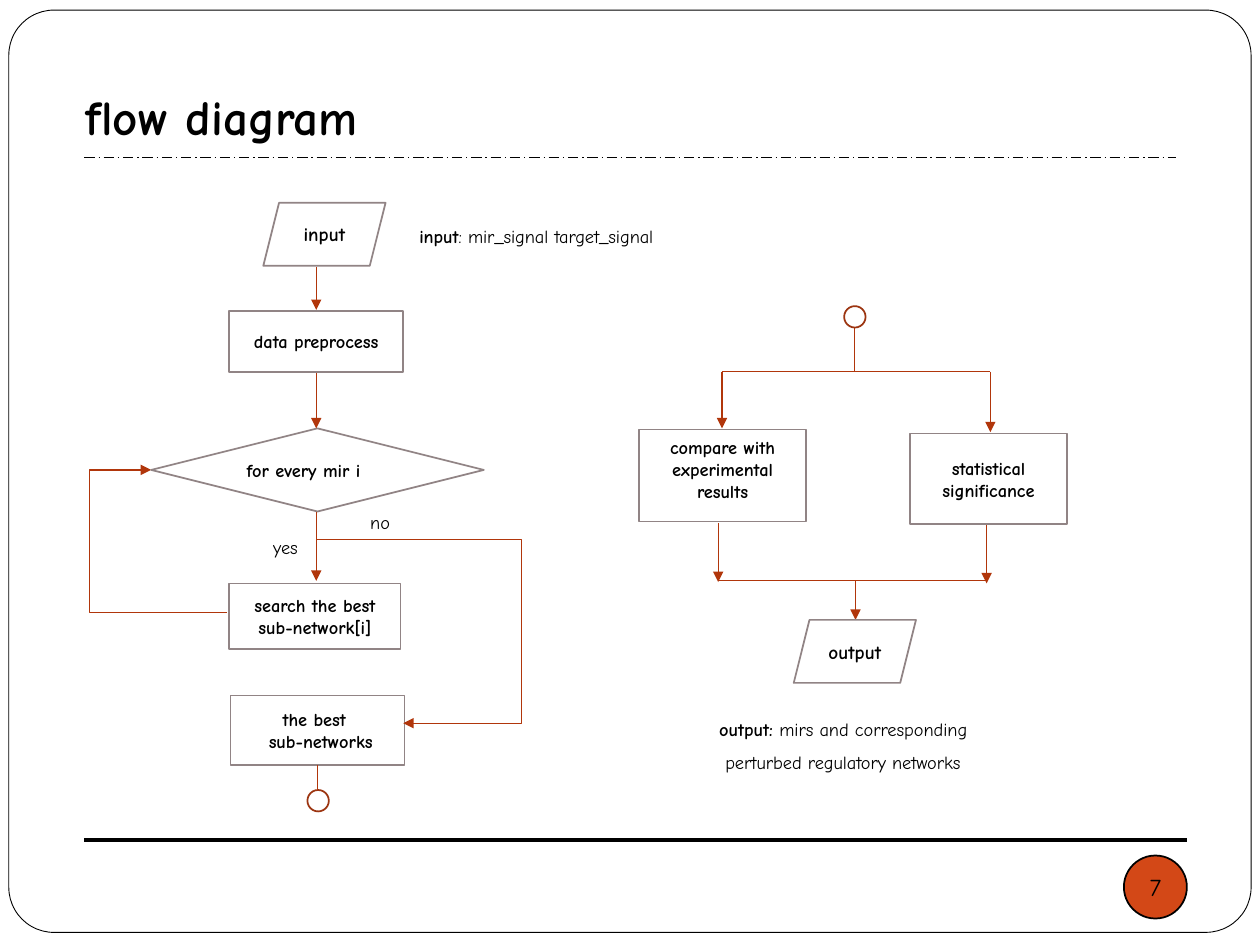
from lxml import etree
from pptx import Presentation
from pptx.dml.color import RGBColor
from pptx.enum import dml, shapes, text
from pptx.oxml import ns
from pptx.util import Inches, Pt

BLACK = RGBColor(0x00, 0x00, 0x00)
WHITE = RGBColor(0xFF, 0xFF, 0xFF)
GREY = RGBColor(0x91, 0x84, 0x85)
RUST = RGBColor(0xB1, 0x36, 0x0B)
DARK_RUST = RGBColor(0x9C, 0x35, 0x11)
ORANGE = RGBColor(0xD3, 0x48, 0x17)
FONT = "Comic Neue"
SHAPE = shapes.MSO_SHAPE
ALIGN = text.PP_ALIGN
ANCHOR = text.MSO_ANCHOR


def style_run(run, size, bold=False):
    """Apply the slide's font to a run."""
    run.font.name = FONT
    run.font.size = Pt(size)
    run.font.bold = bold
    run.font.color.rgb = BLACK


def add_node(slide, kind, box, label="", size=10.5, fill=WHITE, line=GREY,
             width=1, align=ALIGN.CENTER, anchor=ANCHOR.MIDDLE, bold=True):
    """Add an outlined shape with an optional label."""
    node = slide.shapes.add_shape(kind, *map(Inches, box))
    node.shadow.inherit = False
    if fill is None:
        node.fill.background()
    else:
        node.fill.solid()
        node.fill.fore_color.rgb = fill
    node.line.color.rgb = line
    node.line.width = Pt(width)
    if label:
        frame = node.text_frame
        frame.text = label
        frame.word_wrap = True
        frame.vertical_anchor = anchor
        for paragraph in frame.paragraphs:
            paragraph.alignment = align
            for run in paragraph.runs:
                style_run(run, size, bold)
    return node


def add_line(slide, start, end, color=RUST, width=0.75, arrow=False, bend=None):
    """Add a straight or bent connector, optionally with an arrowhead."""
    kind = shapes.MSO_CONNECTOR.STRAIGHT if bend is None else shapes.MSO_CONNECTOR.ELBOW
    line = slide.shapes.add_connector(kind, *map(Inches, start + end))
    line.line.color.rgb = color
    line.line.width = Pt(width)
    properties = line.line._get_or_add_ln()
    if arrow:
        etree.SubElement(properties, ns.qn("a:tailEnd"), type="triangle")
    etree.SubElement(properties.getparent(), ns.qn("a:effectLst"))
    if bend is not None:
        guides = properties.getparent().find(ns.qn("a:prstGeom")).get_or_add_avLst()
        etree.SubElement(guides, ns.qn("a:gd"), name="adj1", fmla=f"val {round(bend * 100000)}")
    return line


def add_note(slide, box, lines, spacing=1.0, wrap=False, align=ALIGN.LEFT):
    """Add a text box whose lines are lists of (wording, bold) runs."""
    frame = slide.shapes.add_textbox(*map(Inches, box)).text_frame
    frame.word_wrap = wrap
    for index, parts in enumerate(lines):
        paragraph = frame.add_paragraph() if index else frame.paragraphs[0]
        paragraph.line_spacing = spacing
        paragraph.alignment = align
        for wording, bold in parts:
            run = paragraph.add_run()
            run.text = wording
            style_run(run, 10.5, bold)


def add_frame(slide, left, top, width, height):
    """Draw the rounded page border, rules, title and page number."""
    border = add_node(slide, SHAPE.ROUNDED_RECTANGLE, (left, top, width, height),
                      line=BLACK, width=0.5)
    border.adjustments[0] = 0.049
    rule_left = left + 0.6
    add_line(slide, (rule_left, top + 6.59), (left + 9.35, top + 6.59), BLACK, 2.25)
    title_rule = add_line(slide, (rule_left, top + 1.17), (left + 9.26, top + 1.17), BLACK)
    title_rule.line.dash_style = dml.MSO_LINE.LONG_DASH_DOT

    title = slide.shapes.title
    title.left, title.top = Inches(left + 0.51), Inches(top + 0.3)
    title.width, title.height = Inches(8.5), Inches(0.87)
    frame = title.text_frame
    frame.text = "flow diagram"
    frame.vertical_anchor = ANCHOR.BOTTOM
    frame.margin_bottom = Inches(0.1)
    frame.paragraphs[0].alignment = ALIGN.LEFT
    style_run(frame.paragraphs[0].runs[0], 28, True)

    badge = add_node(slide, SHAPE.OVAL, (left + 8.85, top + 6.71, 0.5, 0.5), "7",
                     14, ORANGE, BLACK, bold=False)
    number = badge.text_frame
    number.word_wrap = False
    number.margin_left = number.margin_right = number.margin_top = number.margin_bottom = 0


def add_search_loop(slide, left, top):
    """Draw the left column: input, preprocessing and the search loop."""
    axis = left + 1.81
    add_line(slide, (left + 1.1, top + 3.25), (left + 0.5, top + 2.12), arrow=True, bend=1.813)
    for kind, box, label, size, align in (
        (SHAPE.PARALLELOGRAM, (1.39, 0, 0.97, 0.5), "input", 11, ALIGN.CENTER),
        (SHAPE.RECTANGLE, (1.12, 0.86, 1.38, 0.48), "data preprocess", 10.5, ALIGN.CENTER),
        (SHAPE.FLOWCHART_DECISION, (0.5, 1.79, 2.64, 0.66), "for every mir i", 10.5, ALIGN.JUSTIFY),
        (SHAPE.RECTANGLE, (1.12, 3.02, 1.36, 0.52), "search the best sub-network[i]", 10.5, ALIGN.CENTER),
        (SHAPE.RECTANGLE, (1.13, 3.91, 1.38, 0.55), "the best \n sub-networks", 10.5, ALIGN.CENTER),
    ):
        x, y, width, height = box
        add_node(slide, kind, (left + x, top + y, width, height), label, size, align=align)
    for start, end in ((0.51, 0.85), (1.35, 1.79), (2.45, 3.0)):
        add_line(slide, (axis, top + start), (axis, top + end), arrow=True)
    add_line(slide, (axis, top + 2.67), (left + 2.5, top + 4.13), arrow=True, bend=2.358)
    for wording, x, y, width in (("yes", 1.37, 2.6, 0.43), ("no", 2.14, 2.4, 0.36)):
        add_note(slide, (left + x, top + y, width, 0.34), [[(wording, False)]], align=ALIGN.JUSTIFY)
    add_node(slide, SHAPE.FLOWCHART_CONNECTOR, (left + 1.74, top + 4.66, 0.17, 0.17),
             fill=None, line=DARK_RUST)
    add_line(slide, (left + 1.82, top + 4.46), (left + 1.82, top + 4.66))


def add_evaluation(slide, left, top):
    """Draw the right column: the two evaluations that lead to the output."""
    for start, end, arrow in (
        ((1.71, 0.17), (1.71, 0.52), False),
        ((0.66, 0.52), (2.79, 0.52), False),
        ((0.66, 0.52), (0.66, 0.97), True),
        ((2.79, 0.52), (2.79, 1.0), True),
        ((2.76, 1.72), (2.76, 2.2), True),
        ((0.63, 2.18), (2.76, 2.18), False),
        ((0.63, 1.72), (0.63, 2.19), True),
        ((1.72, 2.18), (1.72, 2.49), True),
    ):
        add_line(slide, (left + start[0], top + start[1]),
                 (left + end[0], top + end[1]), arrow=arrow)
    for kind, box, label, size, anchor in (
        (SHAPE.RECTANGLE, (0, 0.98, 1.33, 0.73), "compare with experimental results", 10.5, ANCHOR.TOP),
        (SHAPE.RECTANGLE, (2.15, 1.01, 1.25, 0.72), "statistical significance", 10.5, ANCHOR.MIDDLE),
        (SHAPE.PARALLELOGRAM, (1.23, 2.49, 0.97, 0.5), "output", 11, ANCHOR.MIDDLE),
    ):
        x, y, width, height = box
        add_node(slide, kind, (left + x, top + y, width, height), label, size, anchor=anchor)
    add_node(slide, SHAPE.FLOWCHART_CONNECTOR, (left + 1.63, top, 0.17, 0.17),
             fill=None, line=DARK_RUST)


def build():
    """Build the flow diagram slide and save it."""
    deck = Presentation()
    deck.slide_width, deck.slide_height = Inches(10), Inches(7.5)
    slide = deck.slides.add_slide(deck.slide_layouts[5])
    add_frame(slide, 0.07, 0.08, 9.86, 7.32)
    title = slide.shapes.title._element
    title.getparent().append(title)
    add_search_loop(slide, 0.7, 1.61)
    add_evaluation(slide, 5.07, 2.43)
    add_note(slide, (3.23, 1.65, 2.33, 0.37),
             [[("input", True), (": mir_signal target_signal", False)]], 1.5, True)
    add_note(slide, (5.61, 5.56, 2.38, 0.6),
             [[("output: ", True), ("mirs and corresponding", False)],
              [(" perturbed regulatory networks", False)]], 1.5)
    deck.save("out.pptx")


build()
